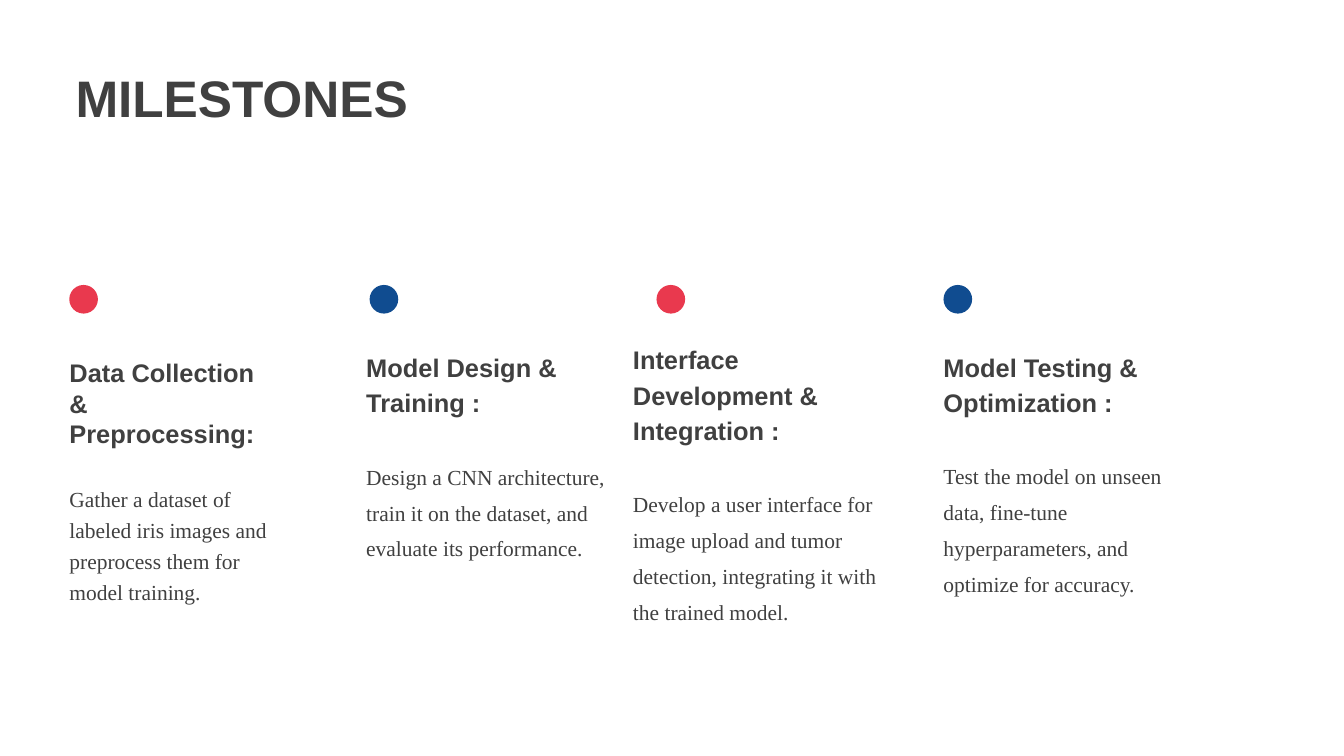
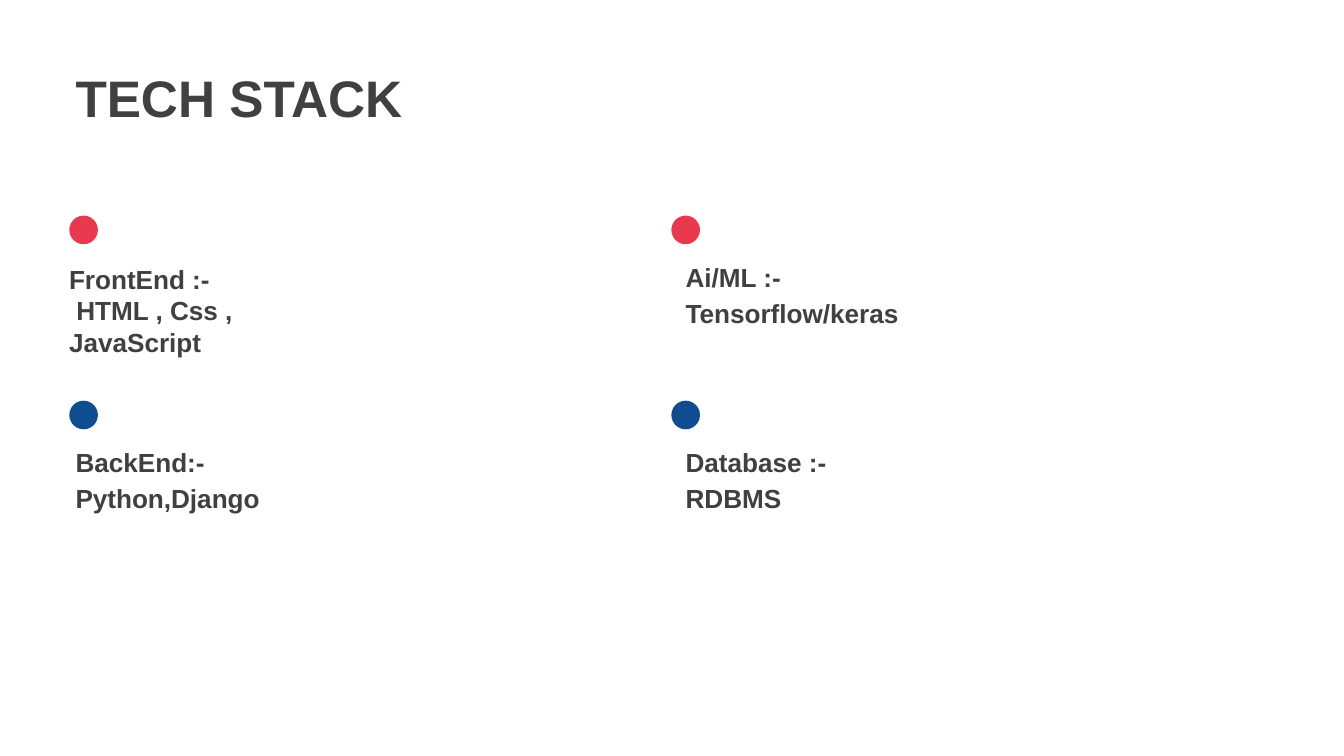
"""Build two slides: project milestones and the technology stack."""
from itertools import cycle

from pptx import Presentation
from pptx.dml.color import RGBColor
from pptx.enum.shapes import MSO_SHAPE as SHAPE
from pptx.enum.text import MSO_ANCHOR as ANCHOR, MSO_AUTO_SIZE as AUTO, PP_ALIGN as ALIGN
from pptx.util import Pt

RED = RGBColor(0xE9, 0x39, 0x4E)
BLUE = RGBColor(0x10, 0x4C, 0x90)
GREY = RGBColor(0x40, 0x40, 0x40)
HEAD_FONT = "Arial"
BODY_FONT = "Times New Roman"
DOT = 30.7
DOT_LEFT = 74.2
MILESTONE_DOT_TOP = 305.3

# Dot left, text (left, top, width, height), heading, body,
# heading line, body line and gap between them.
MILESTONES = [
    (DOT_LEFT, (74.4, 383, 216, 268), "Data Collection & Preprocessing:",
     "Gather a dataset of labeled iris images and preprocess them for model training.",
     32.7, 33.4, 33.4),
    (396, (392.4, 372.2, 268, 310), "Model Design & Training :",
     "Design a CNN architecture, train it on the dataset, and evaluate its performance.",
     37.6, 38.5, 38.5),
    (703.4, (678.2, 364.3, 279.4, 305), "Interface Development & Integration :",
     "Develop a user interface for image upload and tumor detection, "
     "integrating it with the trained model.",
     37.6, 38.5, 38.5),
    (1010.9, (1010.9, 372.2, 250.6, 310), "Model Testing & Optimization :",
     "Test the model on unseen data, fine-tune hyperparameters, and optimize for accuracy.",
     37.6, 38.5, 37.6),
]

# Dot left and top, dot colour, text box, lines, line spacing.
STACK = [
    (DOT_LEFT, 231, RED, (74, 282.2, 303.8, 105),
     ("FrontEnd :-", " HTML , Css , JavaScript"), 33.6),
    (DOT_LEFT, 429.3, BLUE, (80.9, 473.4, 328, 85), ("BackEnd:-", "Python,Django"), 38.7),
    (719.3, 231, RED, (734.6, 275, 250.6, 85), ("Ai/ML :-", "Tensorflow/keras"), 38.7),
    (719.3, 429.3, BLUE, (734.6, 473.4, 279.4, 85), ("Database :-", "RDBMS"), 38.7),
]


def prepare_frame(tf):
    """Make a text frame wrap from its top left corner without margins."""
    tf.margin_left = tf.margin_right = tf.margin_top = tf.margin_bottom = 0
    tf.auto_size = AUTO.NONE
    tf.vertical_anchor = ANCHOR.TOP
    tf.word_wrap = True


def style(p, size, line, font=HEAD_FONT, bold=True, before=0):
    """Set the font and spacing of a paragraph."""
    p.alignment = ALIGN.LEFT
    p.line_spacing = Pt(line)
    p.space_before = Pt(before)
    p.font.name = font
    p.font.size = Pt(size)
    p.font.bold = bold
    p.font.color.rgb = GREY


def add_slide(prs, title):
    """Add a slide with its title and return it."""
    s = prs.slides.add_slide(prs.slide_layouts[5])
    sp = s.shapes.title
    sp.left, sp.top, sp.width, sp.height = Pt(80.9), Pt(70.6), Pt(706), Pt(75.6)
    tf = sp.text_frame
    prepare_frame(tf)
    tf.text = title
    style(tf.paragraphs[0], 55, 66)
    return s


def add_dot(s, left, top, color):
    """Add a round marker."""
    sp = s.shapes.add_shape(SHAPE.OVAL, Pt(left), Pt(top), Pt(DOT), Pt(DOT))
    sp.shadow.inherit = False
    sp.fill.solid()
    sp.fill.fore_color.rgb = color
    sp.line.fill.background()


def add_text(s, box, lines):
    """Add a text box with one paragraph per line and return the paragraphs."""
    tf = s.shapes.add_textbox(*map(Pt, box)).text_frame
    prepare_frame(tf)
    tf.text = "\n".join(lines)
    return tf.paragraphs


def add_milestone(s, color, left, box, heading, body, head_line, body_line, gap):
    """Add a marker with a heading and a description."""
    add_dot(s, left, MILESTONE_DOT_TOP, color)
    head_p, body_p = add_text(s, box, (heading, body))
    style(head_p, 27.2, head_line)
    style(body_p, 23, body_line, BODY_FONT, False, gap)


def add_technology(s, left, top, color, box, lines, line):
    """Add a marker with the name and tools of one layer."""
    add_dot(s, left, top, color)
    for p in add_text(s, box, lines):
        style(p, 28, line)


def main():
    """Build and save the presentation."""
    prs = Presentation()
    prs.slide_width, prs.slide_height = Pt(1440), Pt(810)

    s = add_slide(prs, "MILESTONES")
    for color, milestone in zip(cycle((RED, BLUE)), MILESTONES):
        add_milestone(s, color, *milestone)

    s = add_slide(prs, "TECH STACK")
    for technology in STACK:
        add_technology(s, *technology)

    prs.save("out.pptx")


if __name__ == "__main__":
    main()
